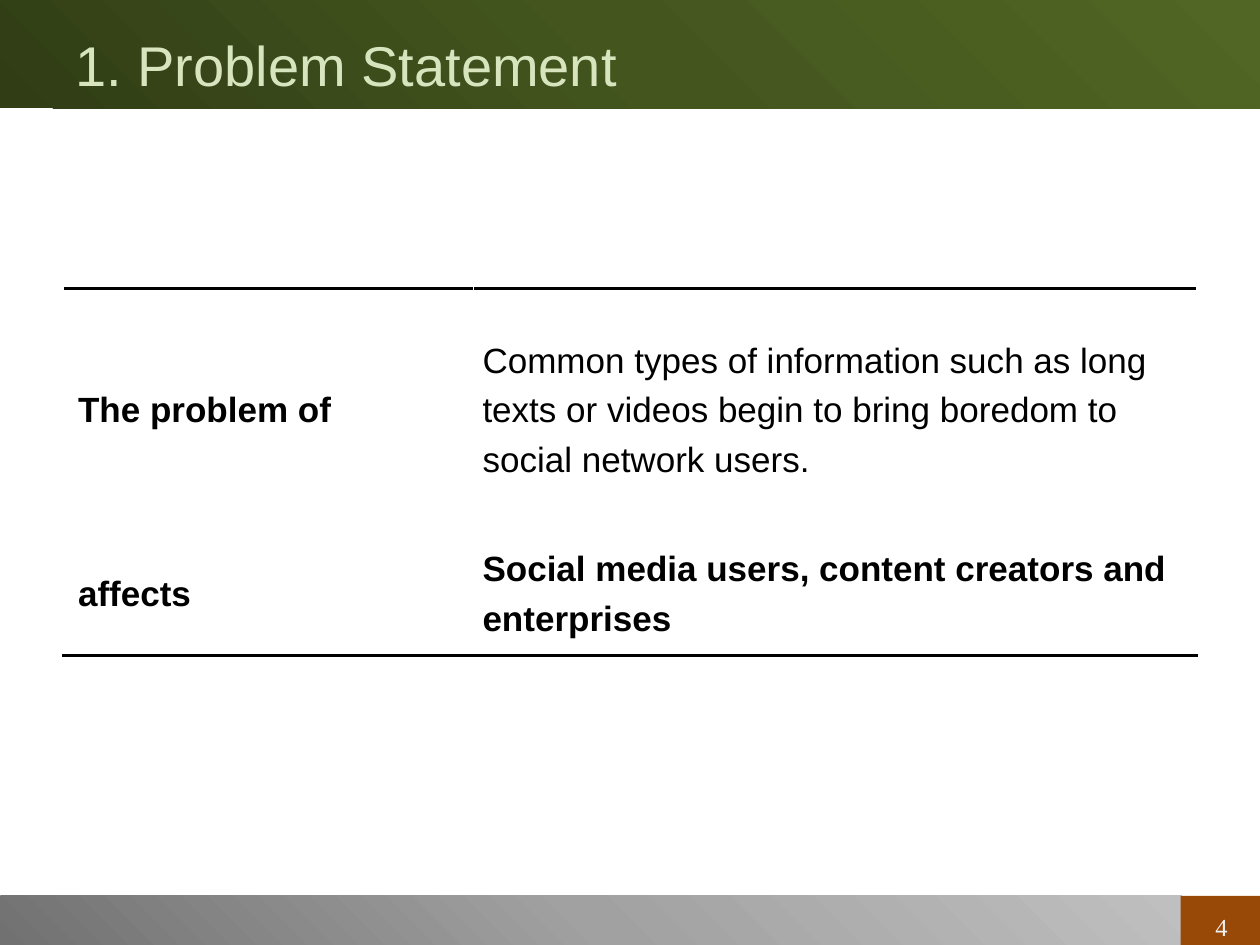
import pptx
import pptx.util
import pptx.dml.color
import pptx.enum.shapes
import pptx.enum.text
import pptx.oxml
import pptx.oxml.ns
from dataclasses import dataclass

Inches = pptx.util.Inches
Pt = pptx.util.Pt
Align = pptx.enum.text.PP_ALIGN
Anchor = pptx.enum.text.MSO_ANCHOR


@dataclass(frozen=True)
class Theme:
    green: tuple = ("303D15", "44561E", "516624")
    gray: tuple = ("717171", "A1A1A1", "BFBFBF")
    rust: str = "984807"
    title: str = "D7E4BD"
    page: str = "F2F2F2"
    ink: str = "000000"
    paper: str = "FFFFFF"
    sans: str = "Arial"
    serif: str = "Times New Roman"
    head_size: int = 32
    body_size: int = 20
    page_size: int = 14
    rule: int = 2


THEME = Theme()

ROWS = [
    ("The problem of",
     "Common types of information such as long\n"
     "texts or videos begin to bring boredom to\n"
     "social network users.", False),
    ("affects",
     "Social media users, content creators and\nenterprises", True),
]


def rgb(code):
    return pptx.dml.color.RGBColor.from_string(code)


def style(frame, font, size, color, bold=False):
    for para in frame.paragraphs:
        for run in para.runs:
            run.font.name = font
            run.font.size = Pt(size)
            run.font.bold = bold
            run.font.color.rgb = rgb(color)


def add_bar(slide, box, color):
    bar = slide.shapes.add_shape(
        pptx.enum.shapes.MSO_SHAPE.RECTANGLE, *map(Inches, box))
    bar.shadow.inherit = False
    bar.line.fill.background()
    bar.fill.solid()
    bar.fill.fore_color.rgb = rgb(color)
    return bar


def add_blend(slide, box, colors):
    """Bar with evenly spaced gradient stops, running up to the right."""
    bar = add_bar(slide, box, colors[0])
    step = 100000 // (len(colors) - 1)
    stops = "".join(
        f'<a:gs pos="{i * step}"><a:srgbClr val="{color}"/></a:gs>'
        for i, color in enumerate(colors))
    grad = pptx.oxml.parse_xml(
        f'<a:gradFill {pptx.oxml.ns.nsdecls("a")} rotWithShape="1">'
        f'<a:gsLst>{stops}</a:gsLst><a:lin ang="18900000" scaled="0"/>'
        '</a:gradFill>')
    props = bar.fill._xPr
    props.replace(props.find(pptx.oxml.ns.qn("a:solidFill")), grad)


def add_label(slide, box, text, font, size, color,
              align=Align.LEFT, anchor=Anchor.TOP):
    frame = slide.shapes.add_textbox(*map(Inches, box)).text_frame
    frame.word_wrap = True
    frame.vertical_anchor = anchor
    frame.text = text
    frame.paragraphs[0].alignment = align
    style(frame, font, size, color)


def add_rule(cell, side):
    line = pptx.oxml.parse_xml(
        f'<a:{side} {pptx.oxml.ns.nsdecls("a")} w="{Pt(THEME.rule)}">'
        f'<a:solidFill><a:srgbClr val="{THEME.ink}"/></a:solidFill></a:{side}>')
    cell._tc.get_or_add_tcPr().insert(0, line)


def fill_cell(cell, text, bold, indent=0):
    cell.fill.solid()
    cell.fill.fore_color.rgb = rgb(THEME.paper)
    cell.vertical_anchor = Anchor.MIDDLE
    cell.margin_left = cell.margin_right = Inches(0.07)
    cell.margin_top = cell.margin_bottom = 0
    cell.text_frame.text = text
    for para in cell.text_frame.paragraphs:
        para.space_after = Pt(6)
        if indent:
            para._p.get_or_add_pPr().set("marL", str(Inches(indent)))
    style(cell.text_frame, THEME.sans, THEME.body_size, THEME.ink, bold)


def add_grid(slide, box, widths, heights):
    grid = slide.shapes.add_table(
        len(heights), len(widths), *map(Inches, box)).table
    grid.first_row = grid.horz_banding = False
    for col, width in zip(grid.columns, widths):
        col.width = Inches(width)
    for row, height in zip(grid.rows, heights):
        row.height = Inches(height)
    for i, (term, text, bold) in enumerate(ROWS):
        fill_cell(grid.cell(i, 0), term, True, 0.05)
        fill_cell(grid.cell(i, 1), text, bold)
    # Rules above and below the table
    for j in range(len(widths)):
        add_rule(grid.cell(0, j), "lnT")
        add_rule(grid.cell(len(heights) - 1, j), "lnB")


def main():
    deck = pptx.Presentation()
    deck.slide_width, deck.slide_height = Inches(10), Inches(7.5)
    slide = deck.slides.add_slide(deck.slide_layouts[6])

    # Footer and header bars
    add_blend(slide, (0, 7.11, 9.38, 0.39), THEME.gray)
    add_blend(slide, (0, 0, 10, 0.86), THEME.green)
    add_bar(slide, (9.37, 7.11, 0.63, 0.39), THEME.rust)

    # Page number and title
    add_label(slide, (9.38, 7.19, 0.63, 0.32), "4", THEME.serif,
              THEME.page_size, THEME.page, align=Align.CENTER)
    add_label(slide, (0.5, 0.16, 9, 0.7), "1. Problem Statement", THEME.sans,
              THEME.head_size, THEME.title, anchor=Anchor.MIDDLE)

    # Problem table
    add_grid(slide, (0.5, 2.29, 9, 2.91), (3.26, 5.74), (1.94, 0.97))

    deck.save("out.pptx")


if __name__ == "__main__":
    main()
